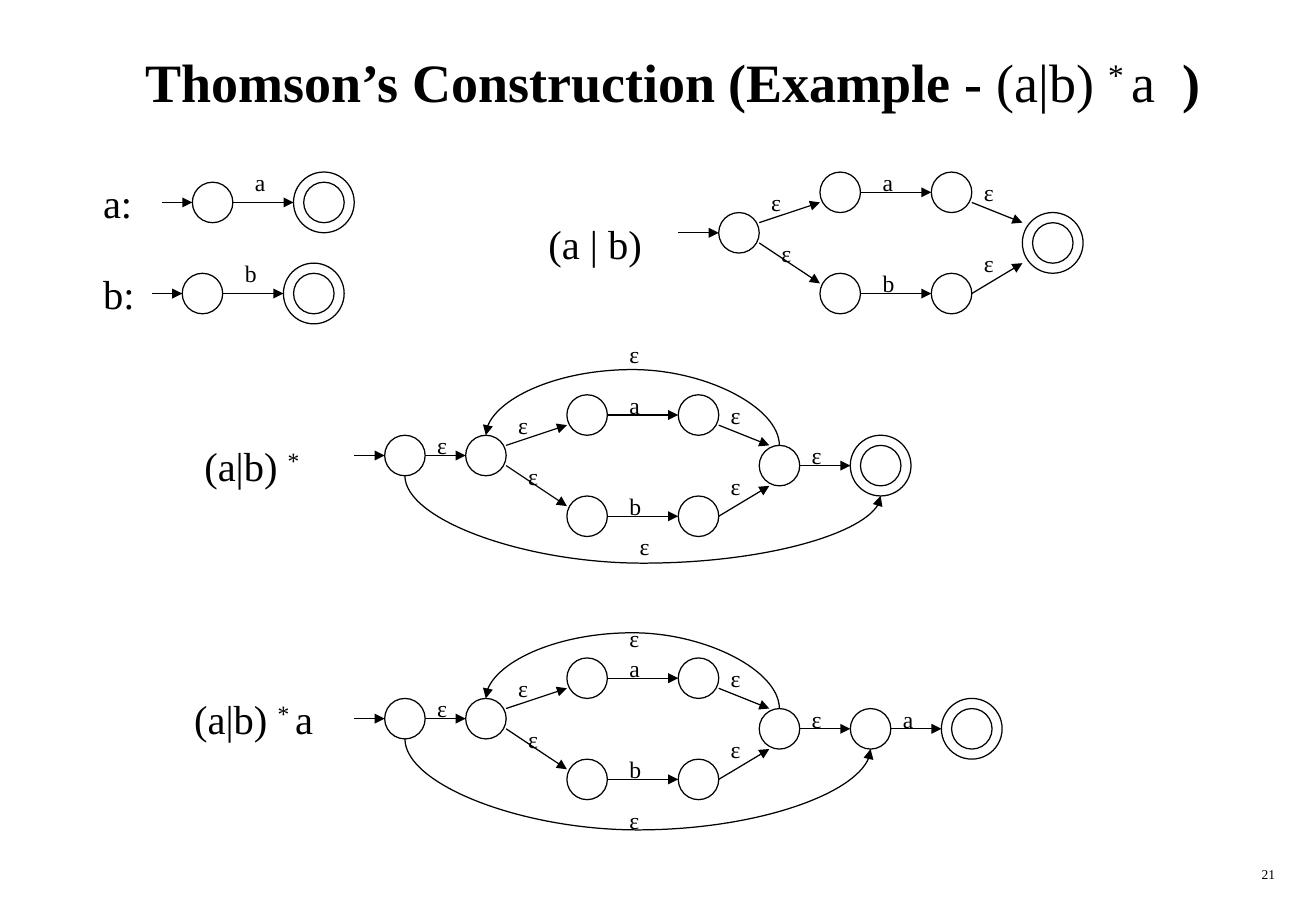
"""Build the slide on Thomson's construction for (a|b)*a."""
from lxml import etree
from pptx import Presentation
from pptx.dml import color
from pptx.enum import shapes, text
from pptx.oxml import ns
from pptx.util import Pt

FONT = "Times New Roman"
INK = "000000"
GRID = 6
EPSILON = "ε"


def rgb(value):
    """Turn a hex string into a colour."""
    return color.RGBColor.from_string(value)


def grid(steps):
    """Turn grid steps into a length."""
    return Pt(GRID * steps)


def add_text(slide, box, runs, size, align=text.PP_ALIGN.LEFT, wrap=False):
    """Add a text box; each run is (text, bold, raised)."""
    shape = slide.shapes.add_textbox(*(Pt(length) for length in box))
    frame = shape.text_frame
    frame.word_wrap = wrap
    frame.auto_size = text.MSO_AUTO_SIZE.NONE if wrap else text.MSO_AUTO_SIZE.SHAPE_TO_FIT_TEXT
    paragraph = frame.paragraphs[0]
    paragraph.alignment = align
    for words, bold, raised in runs:
        run = paragraph.add_run()
        run.text = words
        run.font.name = FONT
        run.font.size = Pt(size)
        run.font.bold = bold
        run.font.color.rgb = rgb(INK)
        if raised:
            run._r.get_or_add_rPr().set("baseline", "30000")
    return frame


def add_heading(slide, x, y, width, *pieces):
    """Name an automaton; a piece holding a star is raised."""
    runs = [(piece, False, "*" in piece) for piece in pieces]
    add_text(slide, (GRID * x, GRID * y, width, 36), runs, 24)


def add_label(slide, x, y, symbol):
    """Write the symbol of a transition."""
    add_text(slide, (GRID * x, GRID * y, 21, 24), [(symbol, False, False)], 14)


def add_circle(slide, x, y, radius=2):
    """Draw a state around a grid point."""
    shape = slide.shapes.add_shape(
        shapes.MSO_SHAPE.OVAL, grid(x - radius), grid(y - radius), grid(2 * radius), grid(2 * radius))
    shape.shadow.inherit = False
    shape.fill.background()
    shape.line.color.rgb = rgb(INK)
    shape.line.width = Pt(0.75)
    return shape


def add_final(slide, x, y):
    """Draw an accepting state and return its outer circle."""
    outer = add_circle(slide, x, y, 3)
    add_circle(slide, x, y)
    return outer


def style_arrow(connector):
    """Give a connector a thin line and an arrowhead."""
    connector.line.color.rgb = rgb(INK)
    connector.line.width = Pt(0.75)
    line = connector.line._get_or_add_ln()
    etree.SubElement(line, ns.qn("a:tailEnd"), type="triangle")
    etree.SubElement(connector._element.spPr, ns.qn("a:effectLst"))


def add_arrow(slide, x1, y1, x2, y2):
    """Draw a straight transition between grid points."""
    style_arrow(slide.shapes.add_connector(
        shapes.MSO_CONNECTOR.STRAIGHT, grid(x1), grid(y1), grid(x2), grid(y2)))


def add_arc(slide, source, target, bulge, above):
    """Join two states by a curve that leaves and enters on one side."""
    ends = [(state.left + state.width // 2, state.top if above else state.top + state.height)
            for state in (source, target)]
    (x1, y1), (x2, y2) = ends
    width, height = abs(y2 - y1), abs(x2 - x1)
    left, top = (x1 + x2 - width) // 2, (y1 + y2 - height) // 2
    connector = slide.shapes.add_connector(
        shapes.MSO_CONNECTOR.CURVE, left, top, left + width, top + height)
    properties = connector._element.spPr
    frame = properties.find(ns.qn("a:xfrm"))
    frame.set("rot", str((90 if above else 270) * 60000))
    frame.set("flipH", "1")
    guides = properties.find(ns.qn("a:prstGeom")).get_or_add_avLst()
    reach = round(Pt(bulge) / width * 100000)
    etree.SubElement(guides, ns.qn("a:gd"), name="adj1", fmla=f"val {reach}")
    links = connector._element.find(".//" + ns.qn("p:cNvCxnSpPr"))
    site = "0" if above else "4"
    for tag, state in (("a:stCxn", source), ("a:endCxn", target)):
        etree.SubElement(links, ns.qn(tag), id=str(state.shape_id), idx=site)
    style_arrow(connector)


def add_symbol(slide, x, y, symbol):
    """Draw the automaton of one symbol from its start state."""
    add_circle(slide, x, y)
    add_final(slide, x + 11, y)
    add_arrow(slide, x - 5, y, x - 2, y)
    add_arrow(slide, x + 2, y, x + 8, y)
    add_label(slide, x + 3, y - 4, symbol)


def add_union(slide, x, y):
    """Draw the two branches of a|b and return their first state."""
    first = add_circle(slide, x, y)
    add_arrow(slide, x - 6, y, x - 2, y)
    for symbol, row in (("a", -4), ("b", 6)):
        add_circle(slide, x + 10, y + row)
        add_circle(slide, x + 21, y + row)
        add_arrow(slide, x + 12, y + row, x + 19, y + row)
        add_label(slide, x + 13, y + row - 3, symbol)
    for x1, y1, x2, y2 in ((2, -1, 8, -3), (2, 1, 8, 5), (23, -3, 28, -1), (23, 6, 28, 3)):
        add_arrow(slide, x + x1, y + y1, x + x2, y + y2)
    for dx, dy in ((2, -5), (3, 0), (23, -6), (23, 1)):
        add_label(slide, x + dx, y + dy, EPSILON)
    return first


def add_star(slide, y, add_exit, exit_x, bulge, arc_labels):
    """Draw (a|b)* in a row, ending in the given kind of exit state."""
    first = add_union(slide, 48, y)
    entry = add_circle(slide, 40, y)
    join = add_circle(slide, 77, y + 1)
    leave = add_exit(slide, exit_x, y + 1)
    add_arrow(slide, 35, y, 38, y)
    add_arrow(slide, 79, y + 1, 84, y + 1)
    add_arc(slide, join, first, 44.87, True)
    add_arc(slide, entry, leave, bulge, False)
    for label_x, label_y in ((42, y - 3), (79, y - 2), *arc_labels):
        add_label(slide, label_x, label_y, EPSILON)


def main():
    """Build and save the slide."""
    presentation = Presentation()
    presentation.slide_width, presentation.slide_height = Pt(780), Pt(540)
    slide = presentation.slides.add_slide(presentation.slide_layouts[6])

    title = [("Thomson’s Construction (Example - ", True, False), ("(a|b) ", False, False),
             ("* ", False, True), ("a  ", False, False), (")", True, False)]
    frame = add_text(slide, (30, 12, 738, 72), title, 32, text.PP_ALIGN.CENTER, True)
    frame.vertical_anchor = text.MSO_ANCHOR.MIDDLE
    add_text(slide, (600, 510, 163, 18), [("21", False, False)], 8, text.PP_ALIGN.RIGHT, True)

    add_heading(slide, 9, 17, 31.7, "a:")
    add_symbol(slide, 21, 20, "a")
    add_heading(slide, 9, 26, 33, "b:")
    add_symbol(slide, 20, 29, "b")

    add_heading(slide, 53, 21, 70, "(a | b)")
    add_union(slide, 73, 23)
    add_final(slide, 104, 24)

    add_heading(slide, 19, 43, 75.6, "(a|b) ", "*")
    add_star(slide, 45, add_final, 87, 51.88, ((61, 33), (62, 52)))

    add_heading(slide, 18, 68, 90.7, "(a|b) ", "* ", "a")
    add_star(slide, 71, add_circle, 86, 53.87, ((61, 61), (61, 79)))
    add_arrow(slide, 88, 72, 93, 72)
    add_label(slide, 88, 69, "a")
    add_final(slide, 96, 72)

    presentation.save("out.pptx")


if __name__ == "__main__":
    main()
